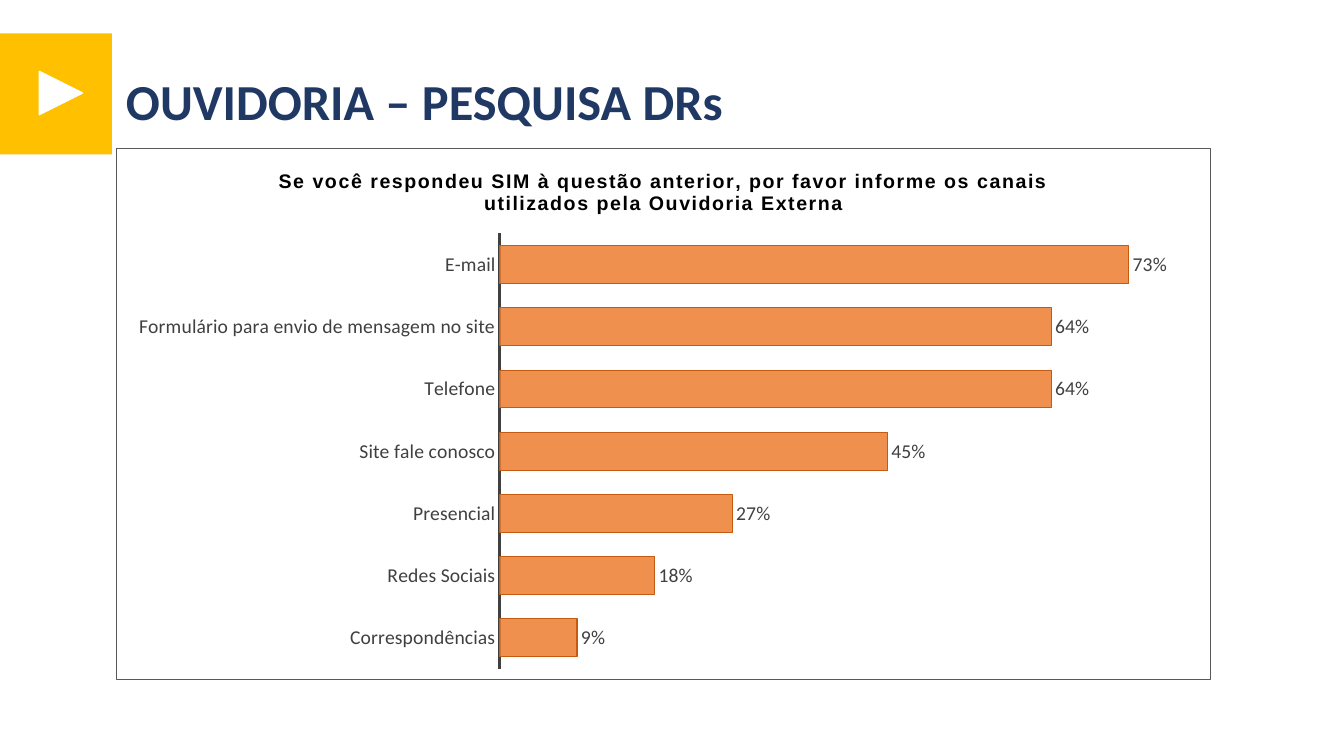
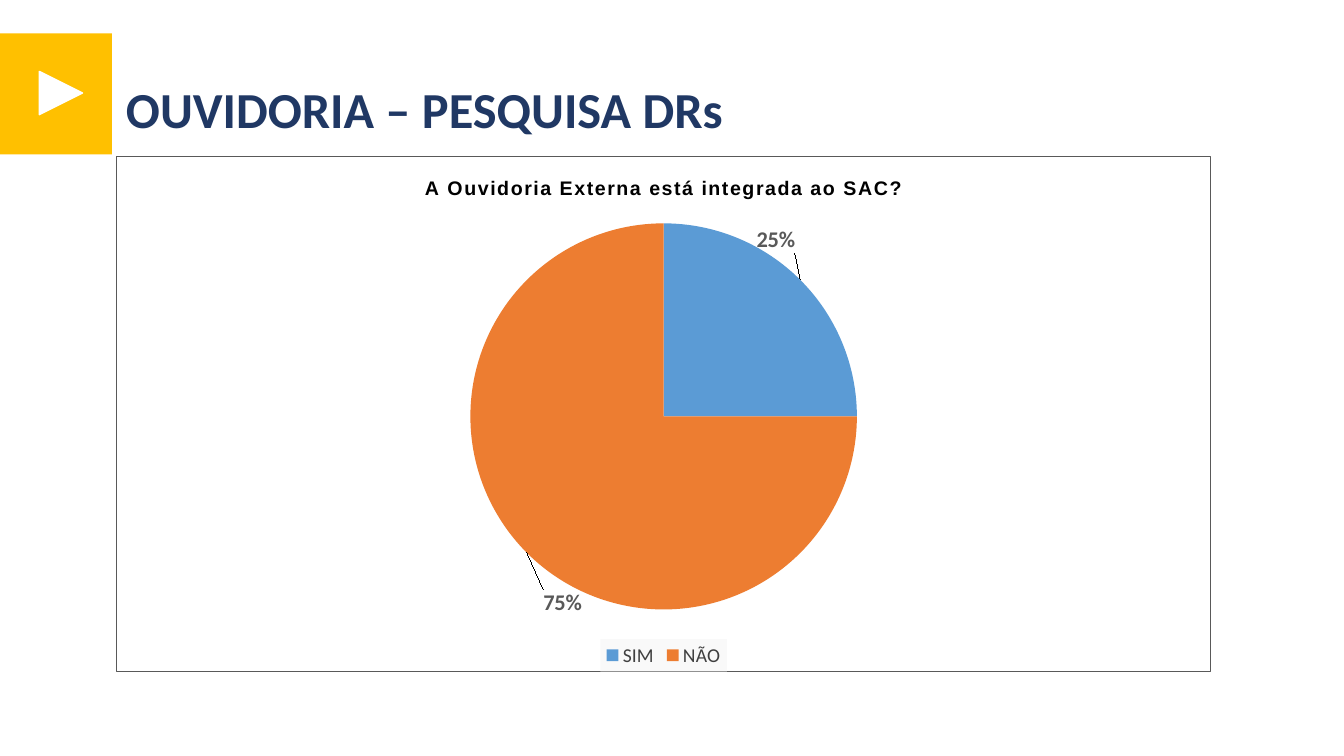
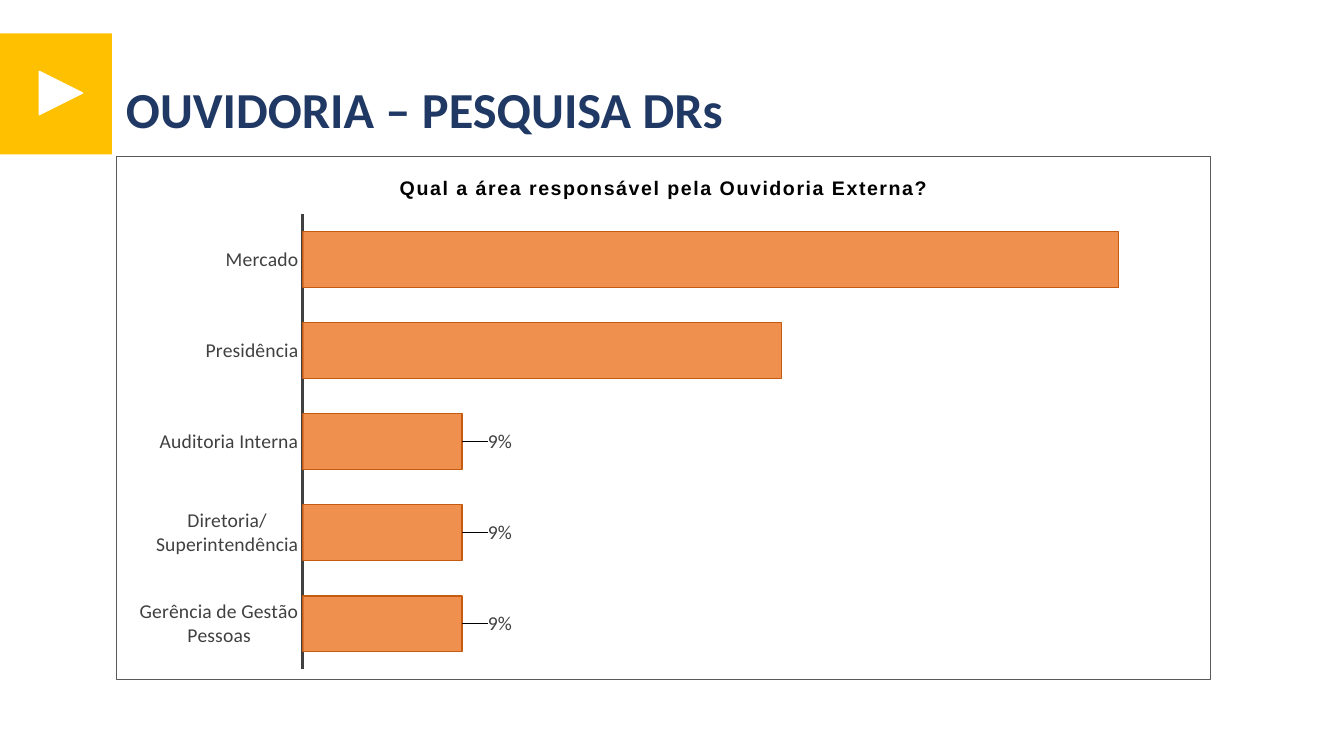
"""Build the three survey slides, each with a title and one chart."""
from pptx import Presentation
from pptx.chart.data import CategoryChartData
from pptx.dml.color import RGBColor
from pptx.enum.chart import XL_CHART_TYPE, XL_LABEL_POSITION, XL_LEGEND_POSITION, XL_TICK_MARK
from pptx.enum.shapes import MSO_SHAPE
from pptx.enum.text import MSO_ANCHOR, MSO_AUTO_SIZE, PP_ALIGN
from pptx.oxml import parse_xml
from pptx.oxml.ns import nsdecls, qn
from pptx.util import Cm, Pt

NAVY = RGBColor(0x20, 0x38, 0x64)
YELLOW = RGBColor(0xFF, 0xC0, 0x00)
WHITE = RGBColor(0xFF, 0xFF, 0xFF)
BLACK = RGBColor(0x00, 0x00, 0x00)
DARK_GRAY = RGBColor(0x40, 0x40, 0x40)
GRAY = RGBColor(0x59, 0x59, 0x59)
PALE_GRAY = RGBColor(0xF9, 0xF9, 0xF9)
BLUE = RGBColor(0x5B, 0x9B, 0xD5)
ORANGE = RGBColor(0xED, 0x7D, 0x31)
RUST = RGBColor(0xC5, 0x5A, 0x11)

HEADING = "OUVIDORIA – PESQUISA DRs"
LEFT, CHART_WIDTH = 2.92, 27.61
TITLE_WIDTH, TITLE_HEIGHT, TITLE_TO_CHART = 23.88, 1.37, 1.8

SLIDES = [
    {
        "kind": "bar", "title_top": 1.93, "chart_height": 13.41, "maximum": 0.8,
        "question": "Se você respondeu SIM à questão anterior, por favor informe "
                    "os canais utilizados pela Ouvidoria Externa",
        "answers": [("E-mail", 0.73), ("Formulário para envio de mensagem no site", 0.64),
                    ("Telefone", 0.64), ("Site fale conosco", 0.45), ("Presencial", 0.27),
                    ("Redes Sociais", 0.18), ("Correspondências", 0.09)],
        "plot": (0.35, 0.16, 0.63, 0.82), "label_shifts": {},
    },
    {
        "kind": "pie", "title_top": 2.13, "chart_height": 13.0,
        "question": "A Ouvidoria Externa está integrada ao SAC?",
        "answers": [("SIM", 25), ("NÃO", 75)],
        "plot": (0.32, 0.13, 0.36, 0.75),
        "label_shifts": {0: (0.04, -0.21), 1: (-0.03, 0.23)},
    },
    {
        "kind": "bar", "title_top": 2.13, "chart_height": 13.21, "maximum": 0.5,
        "question": "Qual a área responsável pela Ouvidoria Externa?",
        "answers": [("Mercado", 0.46), ("Presidência", 0.27), ("Auditoria Interna", 0.09),
                    ("Diretoria/Superintendência", 0.09), ("Gerência de Gestão Pessoas", 0.09)],
        "plot": (0.17, 0.11, 0.81, 0.87),
        "label_shifts": {2: (0.02, 0), 3: (0.02, 0), 4: (0.02, 0)},
    },
]


def style_font(font, size, color, bold=False, name="Calibri"):
    font.size, font.bold, font.name = Pt(size), bold, name
    font.color.rgb = color


def add_play_badge(slide, layout):
    """Draw the yellow play badge and move it to the shared layout."""
    badge = slide.shapes.add_shape(MSO_SHAPE.RECTANGLE, 0, Cm(0.84), Cm(2.82), Cm(3.05))
    arrow = slide.shapes.add_shape(
        MSO_SHAPE.ISOSCELES_TRIANGLE, Cm(0.99), Cm(1.8), Cm(1.09), Cm(1.09))
    arrow.rotation = 90
    for part, color in ((badge, YELLOW), (arrow, WHITE)):
        part.shadow.inherit = False
        part.fill.solid()
        part.fill.fore_color.rgb = color
        layout.shapes._spTree.append(part._element)
    badge.line.fill.background()
    arrow.line.color.rgb = WHITE
    arrow.line.width = Pt(1)


def add_heading(slide, top):
    heading = slide.shapes.title
    heading.left, heading.top = Cm(LEFT), Cm(top)
    heading.width, heading.height = Cm(TITLE_WIDTH), Cm(TITLE_HEIGHT)
    frame = heading.text_frame
    frame.text = HEADING
    frame.auto_size = MSO_AUTO_SIZE.NONE
    frame.word_wrap = True
    frame.vertical_anchor = MSO_ANCHOR.MIDDLE
    paragraph = frame.paragraphs[0]
    paragraph.alignment = PP_ALIGN.LEFT
    paragraph.line_spacing = 0.9
    style_font(paragraph.runs[0].font, 36, NAVY, True)


def manual_layout(settings):
    items = "".join(f'<c:{key} val="{value}"/>' for key, value in settings.items())
    return parse_xml(f'<c:layout {nsdecls("c")}><c:manualLayout>{items}'
                     '</c:manualLayout></c:layout>')


def box_properties(fill, line=None):
    outline = f'<a:solidFill><a:srgbClr val="{line}"/></a:solidFill>' if line else "<a:noFill/>"
    return parse_xml(
        f'<c:spPr {nsdecls("c", "a")}><a:solidFill><a:srgbClr val="{fill}"/></a:solidFill>'
        f'<a:ln w="9525">{outline}</a:ln></c:spPr>')


def frame_chart(chart, question, plot_box):
    style_font(chart.font, 10, BLACK)
    chart.has_title = True
    chart.chart_title.include_in_layout = False
    chart.chart_title.text_frame.text = question
    run = chart.chart_title.text_frame.paragraphs[0].runs[0]
    style_font(run.font, 14, BLACK, True, "Arial")
    run.font._element.set("spc", "100")
    chart_part = chart._chartSpace.find(qn("c:chart"))
    chart_part.addnext(box_properties(WHITE, GRAY))
    plot_area = chart_part.find(qn("c:plotArea"))
    for automatic in plot_area.findall(qn("c:layout")):
        plot_area.remove(automatic)
    plot_area.insert(0, manual_layout({
        "layoutTarget": "inner", "xMode": "edge", "yMode": "edge",
        **dict(zip("xywh", plot_box))}))


def format_labels(plot, shifts, position, shown, size, color, bold):
    plot.has_data_labels = True
    labels = plot.data_labels
    labels.show_value = shown == "value"
    labels.show_percentage = shown == "percent"
    labels.number_format, labels.number_format_is_linked = "0%", False
    labels.position = position
    style_font(labels.font, size, color, bold)
    for index, (across, down) in shifts.items():
        label = plot.series[0].points[index].data_label
        label.position = position
        style_font(label.font, size, color, bold)
    series_labels = plot.series[0]._element.findall(".//" + qn("c:dLbl"))
    for element, (across, down) in zip(series_labels, shifts.values()):
        element.find(qn("c:idx")).addnext(manual_layout({"x": across, "y": down}))
        element.find(qn("c:showVal")).set("val", str(int(shown == "value")))
        element.find(qn("c:showPercent")).set("val", str(int(shown == "percent")))


def format_bars(chart, content):
    plot = chart.plots[0]
    plot.gap_width = 65
    plot.vary_by_categories = False
    chart.has_legend = False
    answers, values = chart.category_axis, chart.value_axis
    answers.reverse_order = True
    answers.major_tick_mark = answers.minor_tick_mark = XL_TICK_MARK.NONE
    answers.format.line.color.rgb = DARK_GRAY
    answers.format.line.width = Pt(1.5)
    style_font(answers.tick_labels.font, 14, DARK_GRAY)
    values.minimum_scale, values.maximum_scale = 0, content["maximum"]
    values.has_major_gridlines = False
    values.visible = False
    bars = plot.series[0].format
    bars.fill.solid()
    bars.fill.fore_color.rgb = ORANGE
    color = plot.series[0]._element.find(".//" + qn("a:srgbClr"))
    color.append(parse_xml(f'<a:alpha {nsdecls("a")} val="85000"/>'))
    bars.line.color.rgb = RUST
    bars.line.width = Pt(0.75)
    format_labels(plot, content["label_shifts"], XL_LABEL_POSITION.OUTSIDE_END,
                  "value", 14, DARK_GRAY, False)


def format_pie(chart, content):
    plot = chart.plots[0]
    plot.vary_by_categories = True
    for index, color in enumerate((BLUE, ORANGE)):
        wedge = plot.series[0].points[index].format
        wedge.fill.solid()
        wedge.fill.fore_color.rgb = color
        wedge.line.fill.background()
    chart.has_legend = True
    legend = chart.legend
    legend.position = XL_LEGEND_POSITION.BOTTOM
    legend.include_in_layout = False
    legend._element.append(box_properties(PALE_GRAY))
    style_font(legend.font, 14, DARK_GRAY)
    format_labels(plot, content["label_shifts"], XL_LABEL_POSITION.CENTER,
                  "percent", 16, GRAY, True)


CHART_KINDS = {
    "bar": (XL_CHART_TYPE.BAR_CLUSTERED, "0%", format_bars),
    "pie": (XL_CHART_TYPE.PIE, "General", format_pie),
}


def add_survey_chart(slide, content):
    chart_type, number_format, format_kind = CHART_KINDS[content["kind"]]
    survey = CategoryChartData(number_format=number_format)
    categories, values = zip(*content["answers"])
    survey.categories = categories
    survey.add_series("Respostas", values)
    chart = slide.shapes.add_chart(
        chart_type, Cm(LEFT), Cm(content["title_top"] + TITLE_TO_CHART),
        Cm(CHART_WIDTH), Cm(content["chart_height"]), survey).chart
    frame_chart(chart, content["question"], content["plot"])
    format_kind(chart, content)


def main():
    deck = Presentation()
    deck.slide_width, deck.slide_height = Cm(33.87), Cm(19.05)
    layout = deck.slide_layouts[5]
    for number, content in enumerate(SLIDES):
        slide = deck.slides.add_slide(layout)
        if number == 0:
            add_play_badge(slide, layout)
        add_heading(slide, content["title_top"])
        add_survey_chart(slide, content)
    deck.save("out.pptx")


if __name__ == "__main__":
    main()
